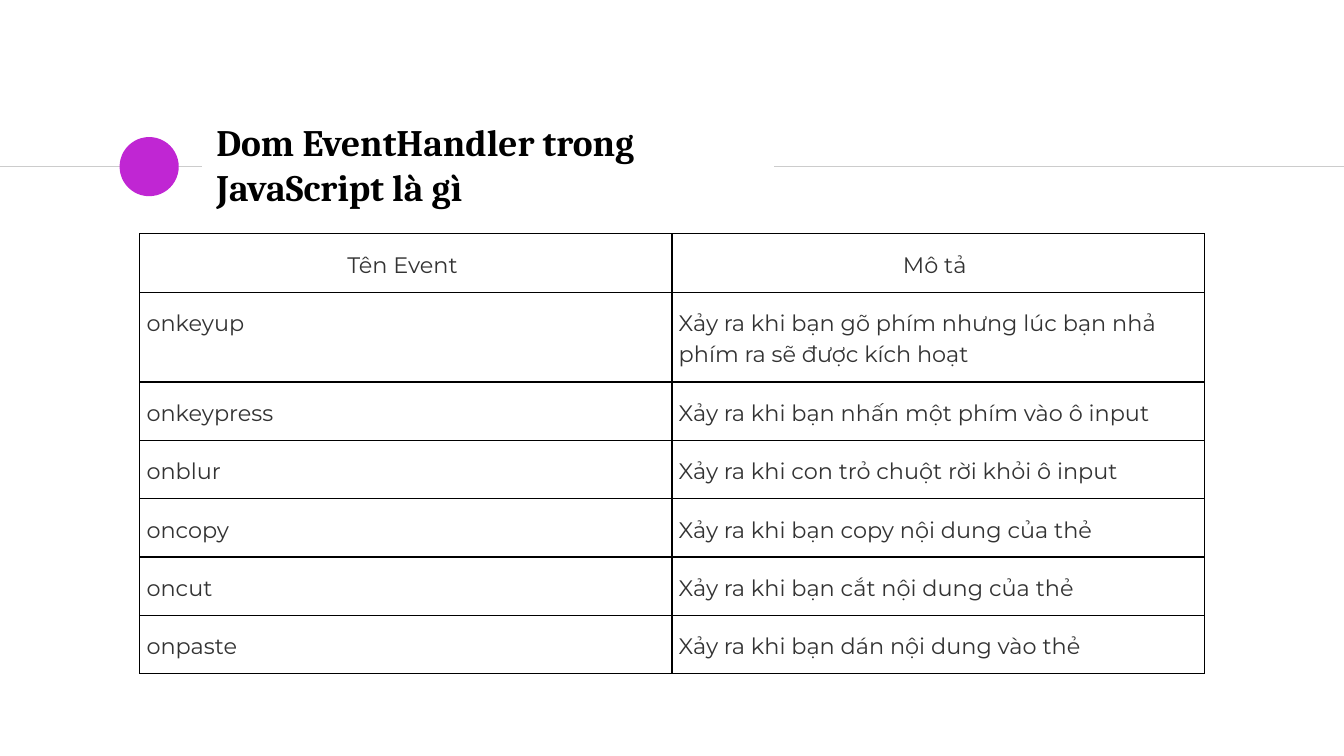
from lxml.etree import SubElement
from pptx import Presentation
from pptx.dml.color import RGBColor
from pptx.enum.shapes import MSO_CONNECTOR, MSO_SHAPE
from pptx.enum.text import MSO_ANCHOR, MSO_AUTO_SIZE, PP_ALIGN
from pptx.oxml import parse_xml
from pptx.oxml.ns import nsdecls, qn
from pptx.util import Inches, Pt

EVENTS = [
    ("Tên Event", "Mô tả"),
    ("onkeyup", "Xảy ra khi bạn gõ phím nhưng lúc bạn nhả phím ra sẽ được kích hoạt"),
    ("onkeypress", "Xảy ra khi bạn nhấn một phím vào ô input"),
    ("onblur", "Xảy ra khi con trỏ chuột rời khỏi ô input"),
    ("oncopy", "Xảy ra khi bạn copy nội dung của thẻ"),
    ("oncut", "Xảy ra khi bạn cắt nội dung của thẻ"),
    ("onpaste", "Xảy ra khi bạn dán nội dung vào thẻ"),
]


def color(hex_value):
    return RGBColor.from_string(hex_value)


def write(frame, text, *, font, size, fill, bold=False, align=PP_ALIGN.LEFT,
          spacing=None, after=None):
    paragraph = frame.paragraphs[0]
    paragraph.alignment = align
    if spacing is not None:
        paragraph.line_spacing = spacing
    if after is not None:
        paragraph.space_after = Pt(after)
    run = paragraph.add_run()
    run.text = text
    run.font.name = font
    run.font.size = Pt(size)
    run.font.bold = bold
    run.font.color.rgb = color(fill)


def add_rule(slide, start, end, y):
    rule = slide.shapes.add_connector(
        MSO_CONNECTOR.STRAIGHT, Inches(start), Inches(y), Inches(end), Inches(y))
    rule.line.color.rgb = color("CCCCCC")
    rule.line.width = Pt(0.75)
    SubElement(rule._element.spPr, qn("a:effectLst"))


def add_heading(slide, text, left, top, width, height):
    # Rules on both sides of the title, with a dot on the left one
    middle = top + height / 2 + 0.02
    add_rule(slide, 0, left - 0.01, middle)
    dot_size = 0.44
    dot = slide.shapes.add_shape(
        MSO_SHAPE.OVAL, Inches(left - 0.62), Inches(middle - dot_size / 2),
        Inches(dot_size), Inches(dot_size))
    dot.shadow.inherit = False
    dot.fill.solid()
    dot.fill.fore_color.rgb = color("C026D3")
    dot.line.fill.background()
    add_rule(slide, left + width - 0.01, 10, middle)

    # Title
    title = slide.shapes.title
    title.left, title.top = Inches(left), Inches(top)
    title.width, title.height = Inches(width), Inches(height)
    frame = title.text_frame
    frame.word_wrap = True
    frame.auto_size = MSO_AUTO_SIZE.NONE
    frame.vertical_anchor = MSO_ANCHOR.MIDDLE
    frame.margin_left = frame.margin_right = Inches(0.1)
    frame.margin_top = frame.margin_bottom = Inches(0.1)
    write(frame, text, font="Cambria", size=20, fill="000000", bold=True, spacing=1)


def add_borders(cell):
    properties = cell._tc.get_or_add_tcPr()
    for index, side in enumerate(("lnL", "lnR", "lnT", "lnB")):
        properties.insert(index, parse_xml(
            f'<a:{side} {nsdecls("a")} w="{Pt(0.75)}"><a:solidFill>'
            f'<a:srgbClr val="000000"/></a:solidFill></a:{side}>'))


def add_event_table(slide, rows, left, top, width, row_height):
    table = slide.shapes.add_table(
        len(rows), len(rows[0]), Inches(left), Inches(top),
        Inches(width), Inches(row_height * len(rows))).table
    table.horz_banding = False
    for row_index, row in enumerate(rows):
        for column_index, text in enumerate(row):
            cell = table.cell(row_index, column_index)
            cell.fill.background()
            cell.margin_left = Inches(0.05)
            cell.margin_right = cell.margin_top = cell.margin_bottom = Inches(0.1)
            add_borders(cell)
            write(cell.text_frame, text, font="Montserrat", size=12, fill="333333",
                  align=PP_ALIGN.LEFT if row_index else PP_ALIGN.CENTER,
                  spacing=1.15, after=17)


def main():
    deck = Presentation()
    # Widescreen, 16:9
    deck.slide_width = Inches(10)
    deck.slide_height = deck.slide_width * 9 // 16
    slide = deck.slides.add_slide(deck.slide_layouts[5])
    add_heading(slide, "Dom EventHandler trong JavaScript là gì", 1.51, 0.98, 4.26, 0.48)
    add_event_table(slide, EVENTS, 1.04, 1.74, 7.92, 0.42)
    deck.save("out.pptx")


if __name__ == "__main__":
    main()
